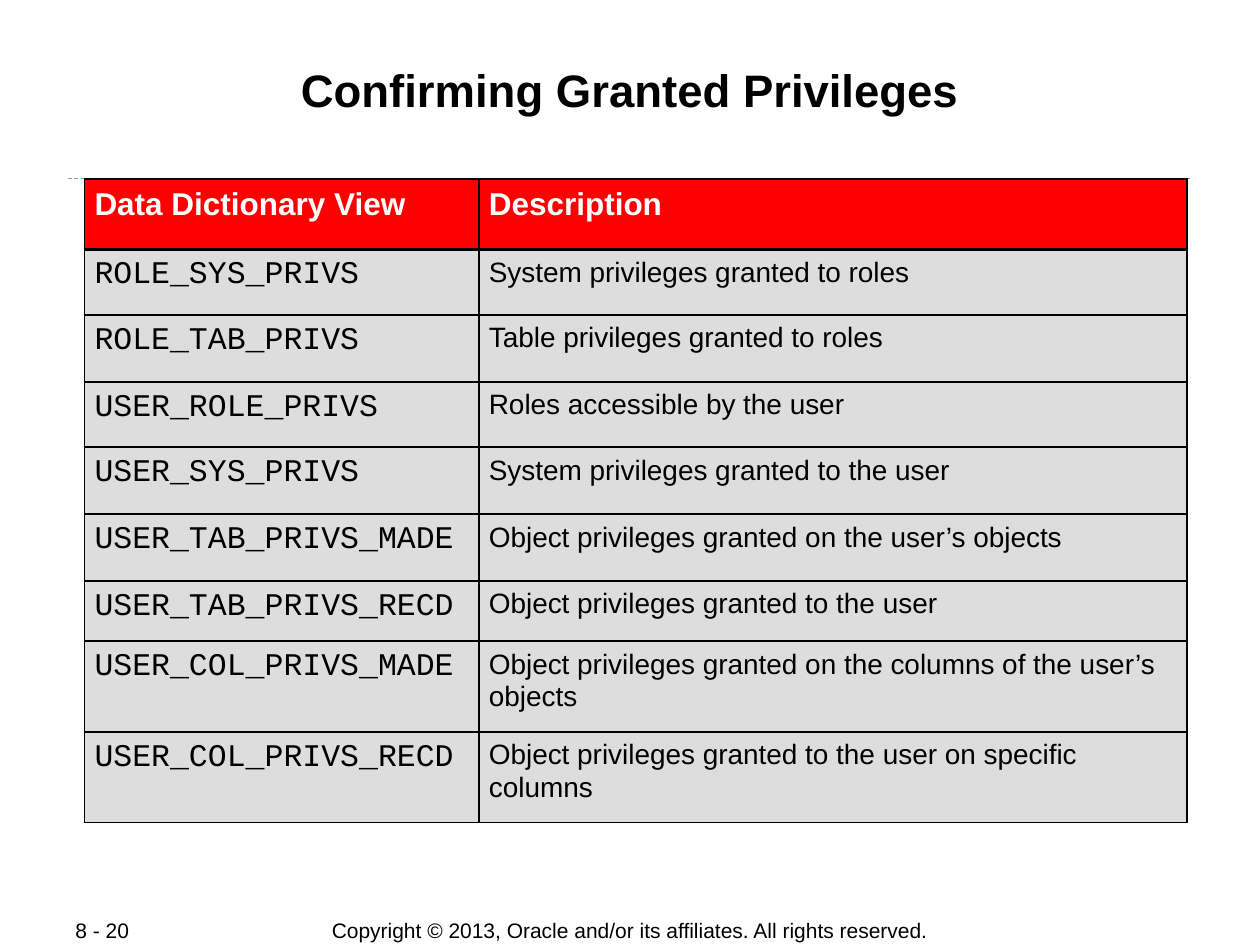
"""Build the slide on confirming granted privileges."""
import pptx
import pptx.dml.color
import pptx.enum.dml
import pptx.enum.shapes
import pptx.enum.text
import pptx.oxml
import pptx.oxml.ns
import pptx.util
from pptx.util import Inches

ALIGN = pptx.enum.text.PP_ALIGN
ANCHOR = pptx.enum.text.MSO_ANCHOR
BLACK = "000000"


def color(value):
    return pptx.dml.color.RGBColor.from_string(value)


def write(tf, text, size, font="Arial", value=BLACK, bold=False, align=ALIGN.LEFT):
    tf.text = text
    p = tf.paragraphs[0]
    p.alignment = align
    r = p.runs[0]
    r.font.name = font
    r.font.size = pptx.util.Pt(size)
    r.font.bold = bold
    r.font.color.rgb = color(value)
    return p


prs = pptx.Presentation()
prs.slide_width = Inches(10)
prs.slide_height = Inches(7.5)
s = prs.slides.add_slide(prs.slide_layouts[6])

footers = [
    ("Copyright © 2013, Oracle and/or its affiliates. All rights reserved.",
     2.45, 5.1, ALIGN.CENTER),
    ("8 - 20", 0.5, 1.06, ALIGN.LEFT),
]
for text, left, width, align in footers:
    sp = s.shapes.add_textbox(Inches(left), Inches(7.28), Inches(width), Inches(0.21))
    tf = sp.text_frame
    tf.word_wrap = False
    tf.vertical_anchor = ANCHOR.MIDDLE
    write(tf, text, 12, align=align)

rule = s.shapes.add_connector(pptx.enum.shapes.MSO_CONNECTOR.STRAIGHT,
                              Inches(0.54), Inches(1.42), Inches(9.46), Inches(1.42))
rule.line.color.rgb = color("999999")
rule.line.width = pptx.util.Pt(0.5)
rule.line.dash_style = pptx.enum.dml.MSO_LINE.DASH
rule._element.spPr.append(pptx.oxml.parse_xml(
    f"<a:effectLst {pptx.oxml.ns.nsdecls('a')}/>"))

title = s.shapes.add_textbox(Inches(0.67), Inches(0.48), Inches(8.66), Inches(0.96))
tf = title.text_frame
tf.word_wrap = True
tf.margin_left = tf.margin_right = tf.margin_top = tf.margin_bottom = Inches(0.01)
write(tf, "Confirming Granted Privileges", 26, bold=True, align=ALIGN.CENTER)

rows = [
    ("Data Dictionary View", "Description", 0.56),
    ("ROLE_SYS_PRIVS", "System privileges granted to roles", 0.52),
    ("ROLE_TAB_PRIVS", "Table privileges granted to roles", 0.53),
    ("USER_ROLE_PRIVS", "Roles accessible by the user", 0.52),
    ("USER_SYS_PRIVS", "System privileges granted to the user", 0.53),
    ("USER_TAB_PRIVS_MADE", "Object privileges granted on the user’s objects", 0.53),
    ("USER_TAB_PRIVS_RECD", "Object privileges granted to the user", 0.48),
    ("USER_COL_PRIVS_MADE",
     "Object privileges granted on the columns of the user’s objects", 0.72),
    ("USER_COL_PRIVS_RECD",
     "Object privileges granted to the user on specific columns", 0.72),
]
table = s.shapes.add_table(len(rows), 2, Inches(0.67), Inches(1.42),
                           Inches(8.75), Inches(5.11)).table
table.horz_banding = False
for column, width in zip(table.columns, (3.13, 5.62)):
    column.width = Inches(width)

for i, (view, description, height) in enumerate(rows):
    table.rows[i].height = Inches(height)
    for j, text in enumerate((view, description)):
        cell = table.cell(i, j)
        cell.margin_left = cell.margin_right = Inches(0.08)
        cell.margin_top = cell.margin_bottom = Inches(0.05)
        if i == 0:
            p = write(cell.text_frame, text, 18, value="FFFFFF", bold=True)
        elif j == 0:
            p = write(cell.text_frame, text, 18, font="Courier New")
        else:
            p = write(cell.text_frame, text, 16)
        p.line_spacing = 1.05
        tcPr = cell._tc.get_or_add_tcPr()
        for side in "LRTB":
            heavy = (i, side) in ((0, "B"), (1, "T"))
            weight = pptx.util.Pt(2.21 if heavy else 1.08)
            tcPr.append(pptx.oxml.parse_xml(
                f'<a:ln{side} {pptx.oxml.ns.nsdecls("a")} w="{weight}"><a:solidFill>'
                f'<a:srgbClr val="{BLACK}"/></a:solidFill></a:ln{side}>'))
        cell.fill.solid()
        cell.fill.fore_color.rgb = color("FF0000" if i == 0 else "DDDDDD")

prs.save("out.pptx")
